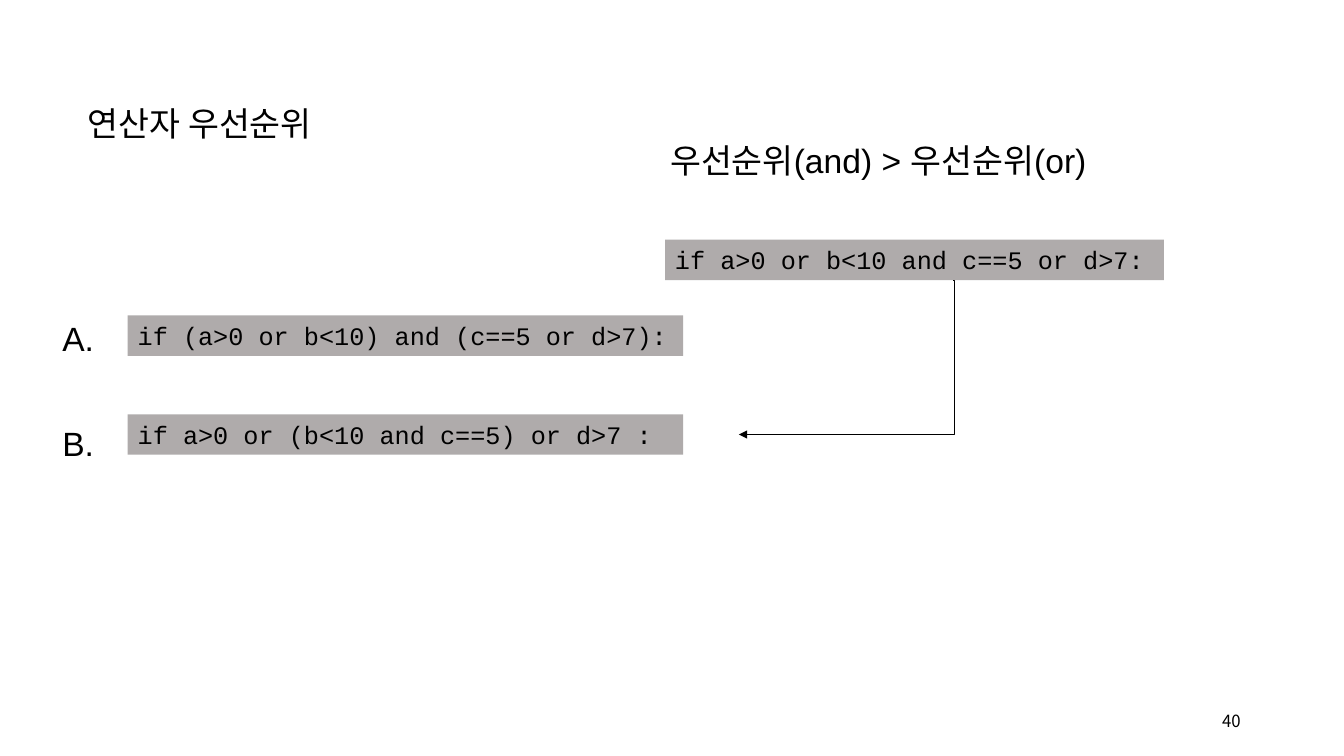
from dataclasses import dataclass

from lxml import etree
from pptx import Presentation
from pptx.dml.color import RGBColor
from pptx.enum.shapes import MSO_CONNECTOR, MSO_SHAPE
from pptx.enum.text import MSO_ANCHOR, MSO_AUTO_SIZE, PP_ALIGN
from pptx.oxml.ns import qn
from pptx.util import Cm, Pt

ELBOW = MSO_CONNECTOR.ELBOW
RECTANGLE = MSO_SHAPE.RECTANGLE
TOP, MIDDLE = MSO_ANCHOR.TOP, MSO_ANCHOR.MIDDLE
NO_FIT, GROW = MSO_AUTO_SIZE.NONE, MSO_AUTO_SIZE.SHAPE_TO_FIT_TEXT
LEFT, RIGHT = PP_ALIGN.LEFT, PP_ALIGN.RIGHT
TITLE_ONLY = 5


@dataclass(frozen=True)
class Theme:
    ink: RGBColor = RGBColor(0, 0, 0)
    code_fill: RGBColor = RGBColor(0xAF, 0xAB, 0xAB)
    text_font: str = "Arial"
    code_font: str = "Courier New"
    korean_font: str = "Noto Sans CJK KR"
    text_size: int = 24
    code_size: int = 18
    number_size: int = 12
    line_width: float = 0.5


THEME = Theme()


def place(shape, box):
    shape.left, shape.top, shape.width, shape.height = (Cm(length) for length in box)


def write(shape, text, font, size, spacing=1.0, align=LEFT, anchor=TOP, wrap=True, fit=GROW):
    frame = shape.text_frame
    frame.word_wrap = wrap
    frame.auto_size = fit
    frame.vertical_anchor = anchor
    paragraph = frame.paragraphs[0]
    paragraph.alignment = align
    paragraph.line_spacing = spacing
    run = paragraph.add_run()
    run.text = text
    run.font.name = font
    run.font.size = Pt(size)
    run.font.color.rgb = THEME.ink
    properties = run.font._element
    etree.SubElement(properties, qn("a:ea"), typeface=THEME.korean_font)


def write_label(shape, text):
    write(shape, text, THEME.text_font, THEME.text_size, spacing=1.5, wrap=False)


def add_title(slide, box, text):
    title = slide.shapes.title
    place(title, box)
    write_label(title, text)


def add_label(slide, box, text):
    write_label(slide.shapes.add_textbox(*(Cm(length) for length in box)), text)


def add_code(slide, box, code):
    shape = slide.shapes.add_shape(RECTANGLE, *(Cm(length) for length in box))
    shape.shadow.inherit = False
    shape.fill.solid()
    shape.fill.fore_color.rgb = THEME.code_fill
    shape.line.fill.background()
    write(shape, code, THEME.code_font, THEME.code_size)


def add_option(slide, box, letter, label_top, code):
    left, top, width, height = box
    add_label(slide, (left - 1.9, label_top, 1.32, 1.8), letter)
    add_code(slide, (left, top, width, height), code)


def add_answer_arrow(slide, begin, end):
    points = (Cm(length) for length in (*begin, *end))
    connector = slide.shapes.add_connector(ELBOW, *points)
    connector.line.color.rgb = THEME.ink
    connector.line.width = Pt(THEME.line_width)
    properties = connector._element.spPr
    guides = properties.find(qn("a:prstGeom")).get_or_add_avLst()
    etree.SubElement(guides, qn("a:gd"), name="adj1", fmla="val -600")
    etree.SubElement(connector.line._get_or_add_ln(), qn("a:tailEnd"), type="triangle")
    etree.SubElement(properties, qn("a:effectLst"))


def add_slide_number(slide, box, number):
    shape = slide.shapes.add_textbox(*(Cm(length) for length in box))
    write(shape, number, THEME.korean_font, THEME.number_size,
          align=RIGHT, anchor=MIDDLE, fit=NO_FIT)


def build_precedence_slide(presentation):
    slide = presentation.slides.add_slide(presentation.slide_layouts[TITLE_ONLY])
    add_title(slide, (1.96, 1.96, 6.73, 1.8), "연산자 우선순위")
    add_label(slide, (16.64, 2.9, 11.66, 1.8), "우선순위(and) > 우선순위(or)")
    add_code(slide, (16.76, 6.04, 12.57, 1.02), "if a>0 or b<10 and c==5 or d>7:")
    add_option(slide, (3.22, 7.95, 14, 1.02), "A.", 7.37,
               "if (a>0 or b<10) and (c==5 or d>7):")
    add_option(slide, (3.22, 10.44, 14, 1.02), "B.", 10.03,
               "if a>0 or (b<10 and c==5) or d>7 :")
    add_answer_arrow(slide, (24.02, 7.06), (18.62, 10.95))
    add_slide_number(slide, (30.3, 17.65, 1.22, 1.02), "40")


def main():
    presentation = Presentation()
    presentation.slide_width = Cm(33.87)
    presentation.slide_height = Cm(19.05)
    build_precedence_slide(presentation)
    presentation.save("out.pptx")


if __name__ == "__main__":
    main()
